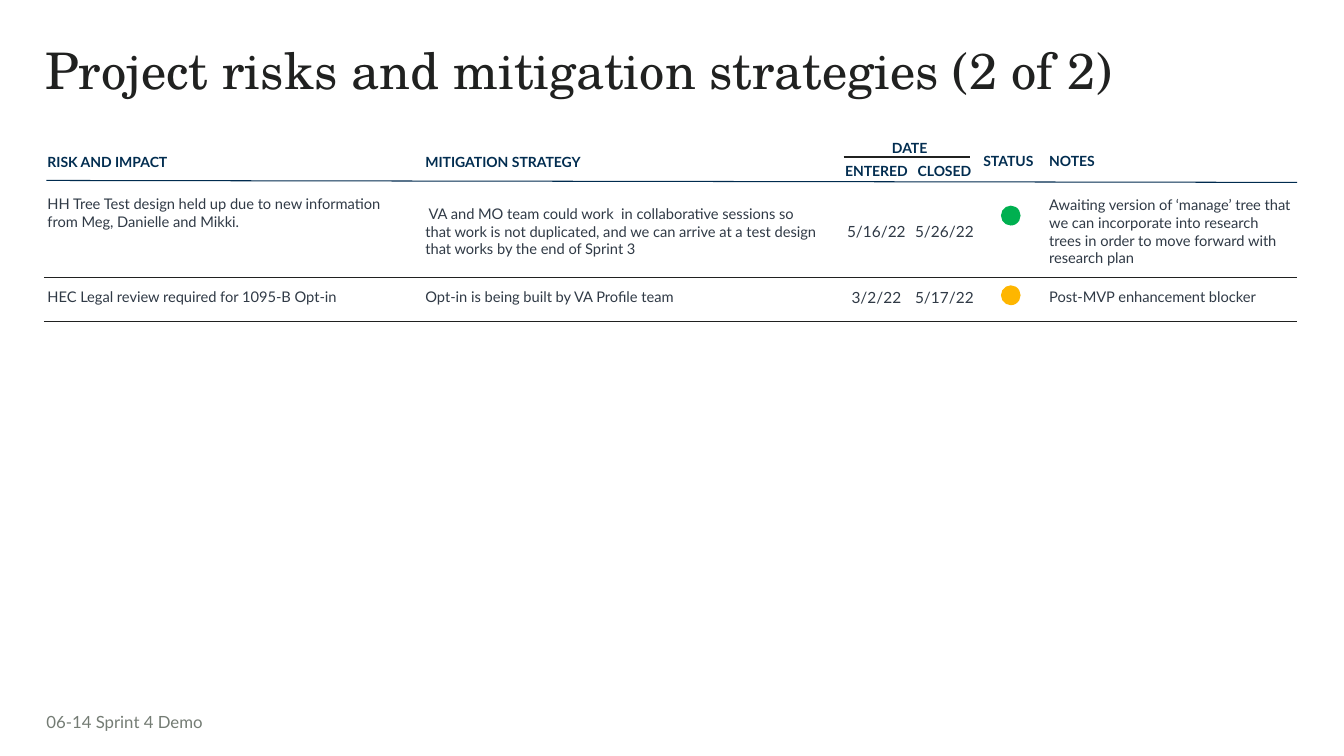
from dataclasses import dataclass

from lxml import etree
from pptx import Presentation
from pptx import util as u
from pptx.dml import color
from pptx.enum import shapes, text
from pptx.oxml import ns


@dataclass(frozen=True)
class Theme:
    ink: str = "202120"
    navy: str = "022D50"
    rule: str = "002B4F"
    body: str = "303A46"
    muted: str = "747C74"
    white: str = "FFFFFF"
    amber: str = "FEB600"
    green: str = "00B050"
    serif: str = "TeX Gyre Schola"
    sans: str = "Lato"
    title_size: float = 36
    header_size: float = 10
    body_size: float = 10.5
    date_size: float = 11
    footer_size: float = 12


theme = Theme()
LEFT, CENTER = text.PP_ALIGN.LEFT, text.PP_ALIGN.CENTER
TOP, MIDDLE = text.MSO_ANCHOR.TOP, text.MSO_ANCHOR.MIDDLE


def write(target, words, size=theme.body_size, ink=theme.body, face=theme.sans, bold=False,
          align=LEFT, anchor=TOP, margins=(7.2, 3.6, 7.2, 3.6), spacing=1.0):
    target.vertical_anchor = anchor
    target.margin_left, target.margin_top, target.margin_right, target.margin_bottom = map(u.Pt, margins)
    frame = getattr(target, "text_frame", target)
    para = frame.paragraphs[0]
    para.alignment = align
    para.line_spacing = spacing
    span = para.add_run()
    span.text = words
    span.font.size = u.Pt(size)
    span.font.name = face
    span.font.bold = bold
    span.font.color.rgb = color.RGBColor.from_string(ink)


def add_border(cell, side, ink, width):
    line = etree.SubElement(cell._tc.get_or_add_tcPr(), ns.qn(f"a:ln{side}"), w=str(u.Pt(width)))
    fill = etree.SubElement(line, ns.qn("a:solidFill"))
    etree.SubElement(fill, ns.qn("a:srgbClr"), val=ink)


deck = Presentation()
deck.slide_width, deck.slide_height = u.Pt(960), u.Pt(540)
page = deck.slides.add_slide(deck.slide_layouts[5])

title = page.shapes.title
title.left, title.top, title.width, title.height = map(u.Pt, (25.2, 29.5, 894, 59))
title.text_frame.auto_size = text.MSO_AUTO_SIZE.NONE
title.text_frame.word_wrap = True
write(title.text_frame, "Project risks and mitigation strategies (2 of 2)",
      size=theme.title_size, ink=theme.ink, face=theme.serif, spacing=0.9)

column_widths = [270, 299.5, 49.7, 47.5, 43.9, 183.6]
row_heights = [16, 16, 66, 31]
risks = page.shapes.add_table(len(row_heights), len(column_widths), u.Pt(31.7), u.Pt(97.9),
                              u.Pt(sum(column_widths)), u.Pt(sum(row_heights))).table
risks.first_row = risks.horz_banding = False
for column, width in zip(risks.columns, column_widths):
    column.width = u.Pt(width)
for row, height in zip(risks.rows, row_heights):
    row.height = u.Pt(height)

for column in (0, 1, 4, 5):
    risks.cell(0, column).merge(risks.cell(1, column))
risks.cell(0, 2).merge(risks.cell(0, 3))

headers = [
    (0, 0, "RISK AND IMPACT", LEFT, MIDDLE, 1.15),
    (0, 1, "MITIGATION STRATEGY", LEFT, MIDDLE, 1.15),
    (0, 2, "DATE", CENTER, TOP, 1.0),
    (1, 2, "ENTERED", CENTER, TOP, 1.0),
    (1, 3, "CLOSED", CENTER, TOP, 1.0),
    (0, 4, "STATUS", CENTER, MIDDLE, 1.0),
    (0, 5, "NOTES", LEFT, MIDDLE, 1.0),
]
for row, column, words, align, anchor, spacing in headers:
    write(risks.cell(row, column), words, size=theme.header_size, ink=theme.navy, bold=True,
          align=align, anchor=anchor, spacing=spacing,
          margins=(7.2 if column == 5 else 2.2, 2.2, 2.2, 2.2))

entries = [
    ["HH Tree Test design held up due to new information from Meg, Danielle and Mikki.",
     " VA and MO team could work  in collaborative sessions so that work is not duplicated, "
     "and we can arrive at a test design that works by the end of Sprint 3",
     "5/16/22", "5/26/22", "",
     "Awaiting version of ‘manage’ tree that we can incorporate into research trees "
     "in order to move forward with research plan"],
    ["HEC Legal review required for 1095-B Opt-in", "Opt-in is being built by VA Profile team",
     "3/2/22", "5/17/22", "", "Post-MVP enhancement blocker"],
]
for row, entry in enumerate(entries, start=2):
    for column, words in enumerate(entry):
        if not words:
            continue
        is_date = column in (2, 3)
        write(risks.cell(row, column), words,
              size=theme.date_size if is_date else theme.body_size,
              align=CENTER if is_date else LEFT,
              anchor=MIDDLE if row == 2 and column else TOP,
              margins=(7.2 if column == 5 else 2.2, 7.2, 14.4 if column < 2 else 2.2, 7.2))

for row in range(len(row_heights)):
    for column in range(len(column_widths)):
        cell = risks.cell(row, column)
        add_border(cell, "L", theme.white, 0.75)
        add_border(cell, "R", theme.white, 0.75)
        if row == 3:
            add_border(cell, "T", theme.ink, 0.75)
        if row >= 2:
            add_border(cell, "B", theme.ink, 0.75)
        cell.fill.background()

header_rules = [
    (33.1, 128.9, 926.6, 130.3, theme.rule, 0.75),
    (602.6, 112.3, 692.6, 112.3, theme.ink, 1),
]
for *ends, ink, width in header_rules:
    rule = page.shapes.add_connector(shapes.MSO_CONNECTOR.STRAIGHT, *map(u.Pt, ends))
    rule.line.color.rgb = color.RGBColor.from_string(ink)
    rule.line.width = u.Pt(width)
    etree.SubElement(rule._element.spPr, ns.qn("a:effectLst"))

for top, ink in ((203.8, theme.amber), (146.9, theme.green)):
    status = page.shapes.add_shape(shapes.MSO_SHAPE.OVAL, u.Pt(715), u.Pt(top), u.Pt(14), u.Pt(14.2))
    status.shadow.inherit = False
    status.fill.solid()
    status.fill.fore_color.rgb = color.RGBColor.from_string(ink)
    status.line.fill.background()

footer = page.shapes.add_textbox(u.Pt(33.1), u.Pt(504.7), u.Pt(214.6), u.Pt(21.6))
footer.text_frame.word_wrap = True
write(footer.text_frame, "06-14 Sprint 4 Demo", size=theme.footer_size, ink=theme.muted,
      margins=(0, 3.6, 7.2, 3.6))

deck.save("out.pptx")
